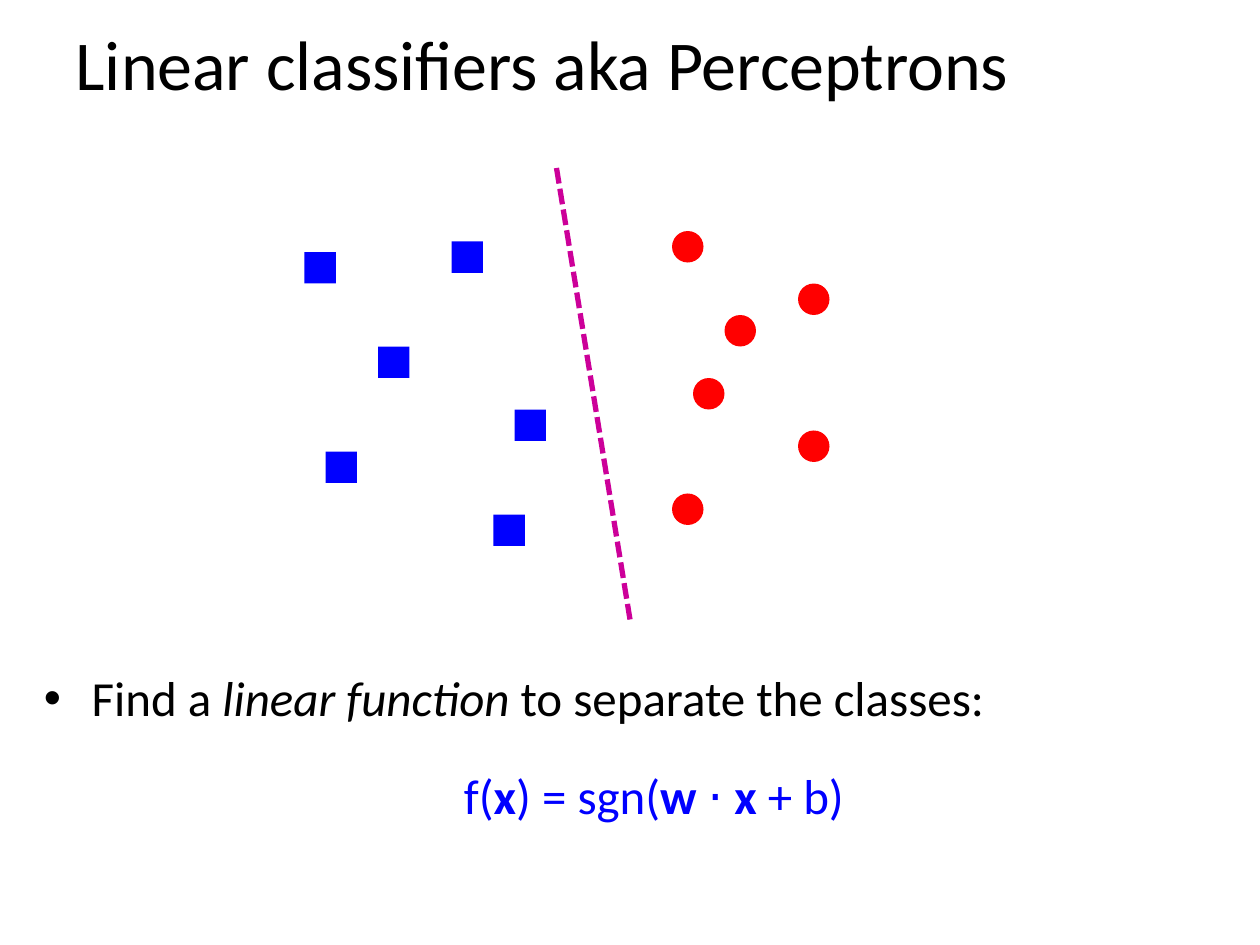
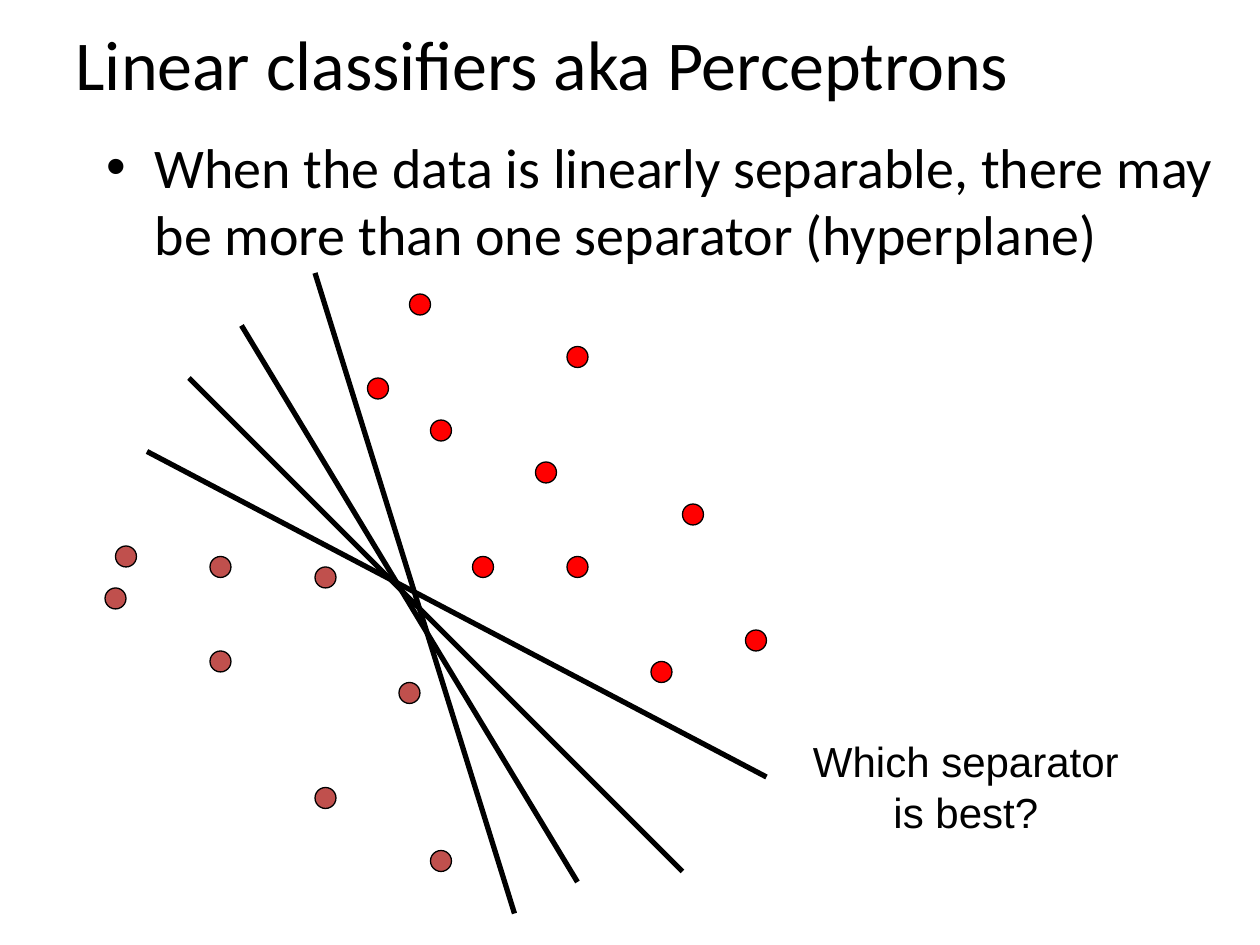
from lxml import etree
from pptx import Presentation
from pptx import util as u
from pptx.dml.color import RGBColor
from pptx.enum import dml, shapes, text
from pptx.oxml import ns

BLACK = RGBColor(0x00, 0x00, 0x00)
BLUE = RGBColor(0x00, 0x00, 0xFF)
RED = RGBColor(0xFF, 0x00, 0x00)
BRICK = RGBColor(0xC0, 0x50, 0x4D)
MAGENTA = RGBColor(0xCC, 0x00, 0x99)

# Content: points and lines are (column, row) on a grid of 12 steps to the inch
TITLE = "Linear classifiers aka Perceptrons"
GOAL = [("Find a ", {}), ("linear function ", {"italic": True}),
        ("to separate the classes:", {})]
FORMULA = [("f(", {}), ("x", {"bold": True}), (") = sgn(", {}),
           ("w ", {"bold": True}), ("⋅ ", {}), ("x ", {"bold": True}), ("+ b)", {})]
SEPARABLE = [("When the data is linearly separable, there may be more than "
              "one separator (hyperplane)", {})]
QUESTION = "Which separator\vis best?"

SQUARE_CLASS = [(29, 24), (36, 33), (43, 23), (31, 43), (49, 39), (47, 49)]
CIRCLE_CLASS = [(76, 27), (66, 36), (76, 41), (64, 22), (69, 30), (64, 47)]
BOUNDARY = ((53, 16), (60, 59))

BRICK_CLASS = [(11, 52), (20, 53), (20, 62), (10, 56), (30, 54), (38, 65),
               (30, 75), (41, 81)]
RED_CLASS = [(41, 40), (51, 44), (54, 53), (45, 53), (35, 36), (62, 63),
             (65, 48), (54, 33), (71, 60), (39, 28)]
SEPARATORS = [((18, 36), (65, 83)), ((23, 31), (55, 84)),
              ((30, 26), (49, 87)), ((14, 43), (73, 74))]

STEP = u.Inches(1) / 12
HANG = u.Inches(0.38)


def grid(steps):
    return u.Emu(round(steps * STEP))


def set_font(font, color=BLACK, **values):
    for name, value in {"name": "Calibri", **values}.items():
        setattr(font, name, value)
    font.color.rgb = color


def add_titled_slide(prs):
    slide = prs.slides.add_slide(prs.slide_layouts[5])
    title = slide.shapes.title
    place = {"left": 0.5, "top": 0, "width": 9, "height": 1}
    for side, inches in place.items():
        setattr(title, side, u.Inches(inches))
    title.text_frame.text = TITLE
    title.text_frame.vertical_anchor = text.MSO_ANCHOR.MIDDLE
    heading = title.text_frame.paragraphs[0]
    heading.alignment = text.PP_ALIGN.LEFT
    set_font(heading.runs[0].font, size=u.Pt(40))
    return slide


def add_frame(slide, left, top, width, height):
    box = slide.shapes.add_textbox(*map(u.Inches, (left, top, width, height)))
    box.text_frame.word_wrap = True
    return box.text_frame


def fill_paragraph(paragraph, runs, size, color=BLACK, bullet=False):
    props = paragraph._p.get_or_add_pPr()
    props.set("marL", str(HANG))
    props.set("indent", str(-HANG if bullet else 0))
    if bullet:
        etree.SubElement(props, ns.qn("a:buFont"), typeface="Arial")
        etree.SubElement(props, ns.qn("a:buChar"), char="•")
    for words, style in runs:
        run = paragraph.add_run()
        run.text = words
        set_font(run.font, color, size=u.Pt(size), **style)


def add_points(slide, points, kind, steps, color, outline=None):
    for column, row in points:
        point = slide.shapes.add_shape(kind, grid(column), grid(row),
                                       grid(steps), grid(steps))
        point.shadow.inherit = False
        point.fill.solid()
        point.fill.fore_color.rgb = color
        if outline is None:
            point.line.fill.background()
        else:
            point.line.color.rgb = outline
            point.line.width = u.Pt(0.75)


def add_separator(slide, ends, color=BLACK, dash=None):
    start, end = ends
    separator = slide.shapes.add_connector(
        shapes.MSO_CONNECTOR.STRAIGHT, *map(grid, start + end))
    separator.line.color.rgb = color
    separator.line.width = u.Pt(3)
    if dash is not None:
        separator.line.dash_style = dash
    etree.SubElement(separator._element.spPr, ns.qn("a:effectLst"))


def build_one_separator(prs):
    slide = add_titled_slide(prs)
    goal = add_frame(slide, 0.25, 5.25, 9.5, 1.45)
    fill_paragraph(goal.paragraphs[0], GOAL, 28, bullet=True)
    formula = goal.add_paragraph()
    formula.alignment = text.PP_ALIGN.CENTER
    formula.space_before = u.Pt(22)
    fill_paragraph(formula, FORMULA, 28, BLUE)
    add_points(slide, SQUARE_CLASS, shapes.MSO_SHAPE.RECTANGLE, 3, BLUE)
    add_points(slide, CIRCLE_CLASS, shapes.MSO_SHAPE.OVAL, 3, RED)
    add_separator(slide, BOUNDARY, MAGENTA, dml.MSO_LINE.SQUARE_DOT)


def build_many_separators(prs):
    slide = add_titled_slide(prs)
    separable = add_frame(slide, 0.75, 1, 9, 5.75)
    fill_paragraph(separable.paragraphs[0], SEPARABLE, 32, bullet=True)
    for points, color in ((BRICK_CLASS, BRICK), (RED_CLASS, RED)):
        add_points(slide, points, shapes.MSO_SHAPE.OVAL, 2, color, BLACK)
    for ends in SEPARATORS:
        add_separator(slide, ends)

    # Closing question beside the separators
    question = add_frame(slide, 6.34, 5.79, 2.65, 0.91)
    question.word_wrap = False
    question.auto_size = text.MSO_AUTO_SIZE.SHAPE_TO_FIT_TEXT
    asked = question.paragraphs[0]
    asked.text = QUESTION
    asked.alignment = text.PP_ALIGN.CENTER
    for run in asked.runs:
        set_font(run.font, name="Arial", size=u.Pt(24))


def main():
    prs = Presentation()
    prs.slide_width, prs.slide_height = u.Inches(10), u.Inches(7.5)
    build_one_separator(prs)
    build_many_separators(prs)
    prs.save("out.pptx")


if __name__ == "__main__":
    main()
